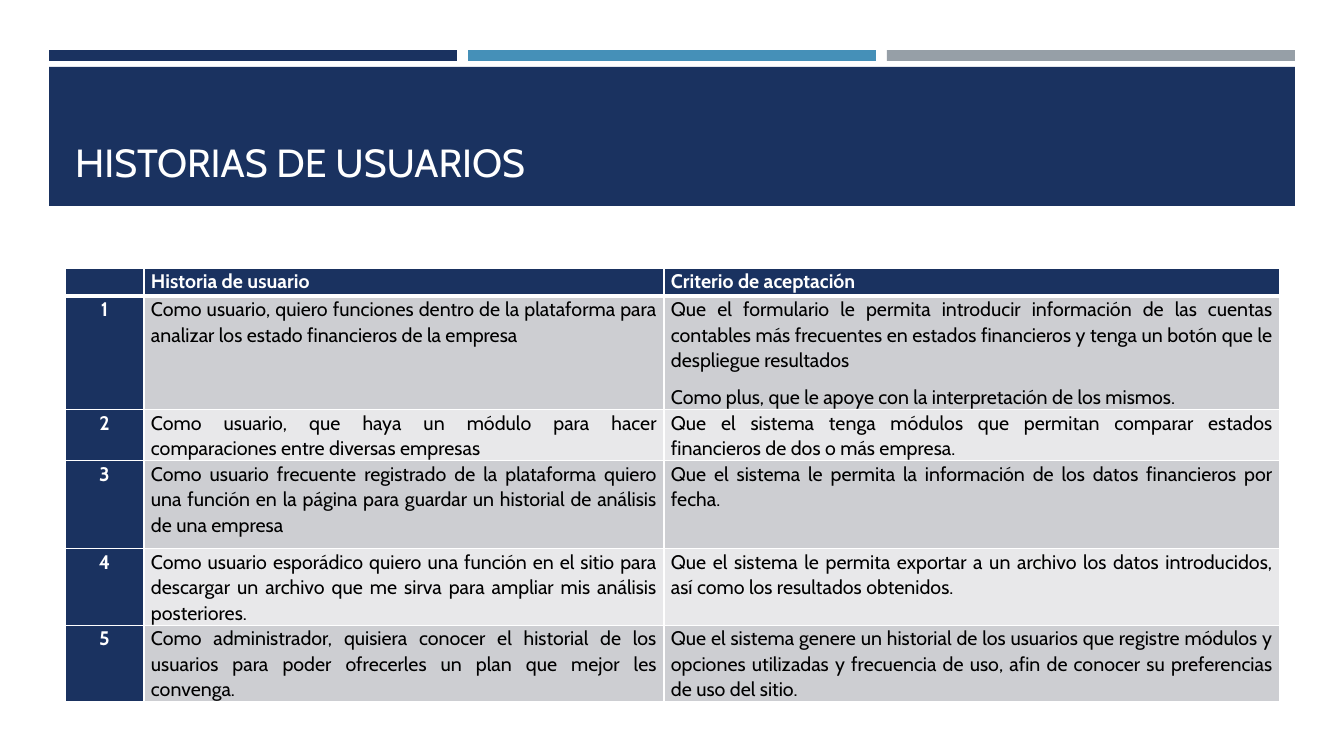
from lxml import etree
from pptx import Presentation
from pptx.dml.color import RGBColor
from pptx.enum.shapes import MSO_SHAPE
from pptx.enum.text import MSO_ANCHOR, PP_ALIGN
from pptx.oxml.ns import qn
from pptx.util import Pt

RECTANGLE = MSO_SHAPE.RECTANGLE
BOTTOM = MSO_ANCHOR.BOTTOM
LEFT, CENTER, JUSTIFY = PP_ALIGN.LEFT, PP_ALIGN.CENTER, PP_ALIGN.JUSTIFY

# Content
TITLE = "HISTORIAS DE USUARIOS"
HEADINGS = ("", "Historia de usuario", "Criterio de aceptación")
STORIES = [
    ("Como usuario, quiero funciones dentro de la plataforma para analizar los estado "
     "financieros de la empresa",
     ["Que el formulario le permita introducir información de las cuentas contables más "
      "frecuentes en estados financieros y tenga un botón que le despliegue resultados",
      "Como plus, que le apoye con la interpretación de los mismos."]),
    ("Como usuario, que haya un módulo para hacer comparaciones entre diversas empresas",
     ["Que el sistema tenga módulos que permitan comparar estados financieros de dos o "
      "más empresa."]),
    ("Como usuario frecuente registrado de la plataforma quiero una función en la página "
     "para guardar un historial de análisis de una empresa",
     ["Que el sistema le permita la información de los datos financieros por fecha."]),
    ("Como usuario esporádico quiero una función en el sitio para descargar un archivo "
     "que me sirva para ampliar mis análisis posteriores.",
     ["Que el sistema le permita exportar a un archivo los datos introducidos, así como "
      "los resultados obtenidos."]),
    ("Como administrador, quisiera conocer el historial de los usuarios para poder "
     "ofrecerles un plan que mejor les convenga.",
     ["Que el sistema genere un historial de los usuarios que registre módulos y opciones "
      "utilizadas y frecuencia de uso, afin de conocer su preferencias de uso del sitio."]),
]

# Style and layout, lengths in px
FONT = "Cabin"
NAVY, WHITE, BLACK = "1A3260", "FFFFFF", "000000"
BAR_COLORS = (NAVY, "4590B8", "969FA7")
BANDS = ("CDCED2", "E8E8EA")
PAGE_WIDTH, PAGE_HEIGHT = 1344, 756
EMU_PER_PX = 12192000 / PAGE_WIDTH
EDGE, BAR_TOP, BAR_WIDTH, BAR_HEIGHT, BAR_PITCH = 49, 50, 408, 11, 419
BANNER = (EDGE, 67, 1246, 139)
TITLE_BOX = (65, 81, 1215, 109)
TABLE_LEFT, TABLE_TOP = 65, 268
COLUMN_WIDTHS = (79, 520, 616)
ROW_HEIGHTS = (25, 113, 51, 88, 76, 76)
CELL_MARGIN = 7


def px(length):
    return round(length * EMU_PER_PX)


def color(value):
    return RGBColor.from_string(value)


def add_block(page, bounds, fill):
    block = page.shapes.add_shape(RECTANGLE, *map(px, bounds))
    block.shadow.inherit = False
    block.fill.solid()
    block.fill.fore_color.rgb = color(fill)
    block.line.fill.background()


def add_span(para, text, size, ink, bold=False):
    span = para.add_run()
    span.text = text
    span.font.name = FONT
    span.font.size = Pt(size)
    span.font.bold = bold
    span.font.color.rgb = color(ink)


def add_borders(cell, widths):
    properties = cell._tc.get_or_add_tcPr()
    for side, width in zip("LRTB", widths):
        line = etree.SubElement(properties, qn(f"a:ln{side}"), w=str(Pt(width)))
        fill = etree.SubElement(line, qn("a:solidFill"))
        etree.SubElement(fill, qn("a:srgbClr"), val=WHITE)


def fill_cell(cell, texts, fill, ink, bold, align, borders):
    add_borders(cell, borders)
    cell.fill.solid()
    cell.fill.fore_color.rgb = color(fill)
    cell.margin_left = cell.margin_right = px(CELL_MARGIN)
    cell.margin_top = cell.margin_bottom = 0
    frame = cell.text_frame
    for index, text in enumerate(texts):
        para = frame.add_paragraph() if index else frame.paragraphs[0]
        para.alignment = align
        para.line_spacing = 1.07
        para.space_after = Pt(8)
        add_span(para, text, 14, ink, bold)


def add_stories(page):
    rows = [[[heading] for heading in HEADINGS]]
    rows += [[[str(number)], [story], criteria]
             for number, (story, criteria) in enumerate(STORIES, 1)]
    table = page.shapes.add_table(
        len(rows), len(COLUMN_WIDTHS), px(TABLE_LEFT), px(TABLE_TOP),
        px(sum(COLUMN_WIDTHS)), px(sum(ROW_HEIGHTS))).table
    for column, width in zip(table.columns, COLUMN_WIDTHS):
        column.width = px(width)
    for row, height in zip(table.rows, ROW_HEIGHTS):
        row.height = px(height)
    for r, row in enumerate(rows):
        borders = (1, 1, 3 if r == 1 else 1, 3 if r == 0 else 1)
        for c, texts in enumerate(row):
            dark = r == 0 or c == 0
            fill_cell(table.cell(r, c), texts,
                      NAVY if dark else BANDS[(r - 1) % 2],
                      WHITE if dark else BLACK, dark,
                      JUSTIFY if c else CENTER, borders)


def main():
    deck = Presentation()
    deck.slide_width, deck.slide_height = px(PAGE_WIDTH), px(PAGE_HEIGHT)
    page = deck.slides.add_slide(deck.slide_layouts[5])

    # Top bars and banner
    for index, fill in enumerate(BAR_COLORS):
        left = EDGE + index * BAR_PITCH
        add_block(page, (left, BAR_TOP, BAR_WIDTH, BAR_HEIGHT), fill)
    add_block(page, BANNER, NAVY)

    # Title, brought in front of the banner
    title = page.shapes.title
    title.left, title.top, title.width, title.height = map(px, TITLE_BOX)
    title.element.getparent().append(title.element)
    title.text_frame.vertical_anchor = BOTTOM
    title.text_frame.word_wrap = True
    para = title.text_frame.paragraphs[0]
    para.alignment = LEFT
    add_span(para, TITLE, 28, WHITE)

    # Table of user stories
    add_stories(page)
    deck.save("out.pptx")


if __name__ == "__main__":
    main()
